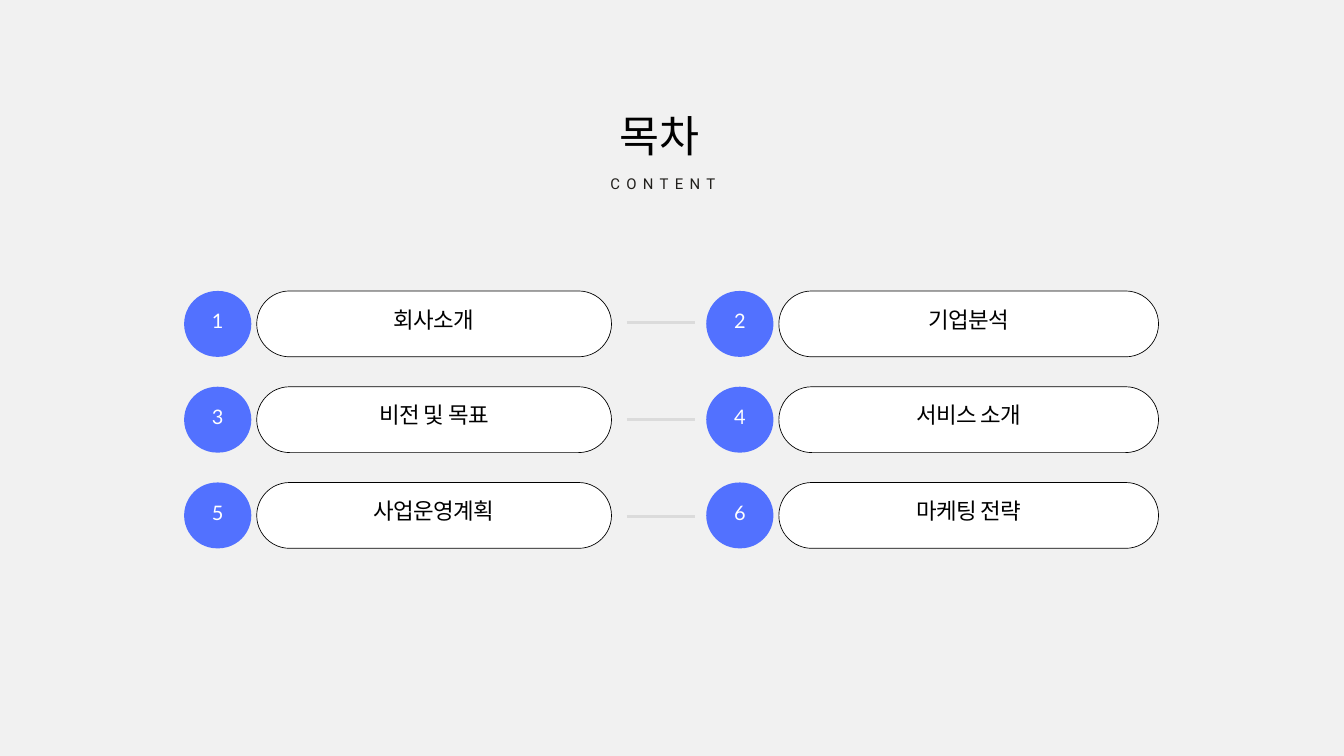
from dataclasses import dataclass

from lxml.etree import SubElement
from pptx import Presentation
from pptx.dml.color import RGBColor
from pptx.enum.shapes import MSO_CONNECTOR, MSO_SHAPE
from pptx.enum.text import MSO_ANCHOR, MSO_AUTO_SIZE, PP_ALIGN
from pptx.oxml.ns import qn
from pptx.util import Inches, Pt

TITLE = "목차"
SUBTITLE = "CONTENT"
TOPICS = ["회사소개", "기업분석", "비전 및 목표", "서비스 소개", "사업운영계획", "마케팅 전략"]


@dataclass(frozen=True)
class TextStyle:
    font: str
    size: float
    color: str
    line_height: float
    tracking: float = 0
    align: PP_ALIGN = PP_ALIGN.CENTER


class Theme:
    background = "F1F1F1"
    badge = "5271FF"
    pill = "FFFFFF"
    outline = "000000"
    link = "DBDBDB"
    title = TextStyle("Noto Sans CJK KR", 46.6, "000000", 68.5, align=PP_ALIGN.LEFT)
    subtitle = TextStyle("Roboto", 16, "211F1C", 23.5, 6.8)
    topic = TextStyle("Noto Sans CJK KR", 24, "000000", 35.3, -0.6)
    number = TextStyle("Lato", 21.4, "FFFFFF", 31.4, 3.1)


# Grid, in inches
COLUMNS = [{"left": 2.74, "pill_width": 5.28}, {"left": 10.51, "pill_width": 5.65}]
ROW_TOP, ROW_PITCH, ROW_HEIGHT = 4.33, 1.425, 0.98
BADGE_WIDTH, PILL_OFFSET = 1, 1.08
LINK_LEFT, LINK_RIGHT, LINK_TOP, LINK_PITCH = 9.33, 10.34, 4.8, 1.445
PADDING, TOPIC_LIFT, NUMBER_LIFT = 0.04, 0.23, 0.17


def rgb(color):
    return RGBColor.from_string(color)


def write(shape, text, style, anchor, padding=0, lift=0):
    """Fill a shape with one styled line; lift is extra room below the text."""
    frame = shape.text_frame
    frame.text = text
    frame.word_wrap = True
    frame.auto_size = MSO_AUTO_SIZE.NONE
    frame.vertical_anchor = anchor
    frame.margin_left = frame.margin_right = frame.margin_top = Inches(padding)
    frame.margin_bottom = Inches(padding + lift)
    paragraph = frame.paragraphs[0]
    paragraph.alignment = style.align
    paragraph.line_spacing = Pt(style.line_height)
    paragraph.space_before = Pt(0)
    run = paragraph.runs[0]
    run.font.size = Pt(style.size)
    run.font.color.rgb = rgb(style.color)
    run.font.name = style.font
    properties = run.font._element
    properties.set("spc", str(round(style.tracking * 100)))
    SubElement(properties, qn("a:ea")).set("typeface", style.font)


def place(shape, left, top, width, height):
    shape.left, shape.top = Inches(left), Inches(top)
    shape.width, shape.height = Inches(width), Inches(height)


def add_capsule(slide, left, top, width, fill, outline=None):
    shape = slide.shapes.add_shape(
        MSO_SHAPE.ROUNDED_RECTANGLE,
        Inches(left), Inches(top), Inches(width), Inches(ROW_HEIGHT),
    )
    shape.adjustments[0] = 0.5
    shape.shadow.inherit = False
    shape.fill.solid()
    shape.fill.fore_color.rgb = rgb(fill)
    if outline:
        shape.line.color.rgb = rgb(outline)
        shape.line.width = Pt(0.75)
    else:
        shape.line.fill.background()
    return shape


def add_link(slide, y):
    link = slide.shapes.add_connector(
        MSO_CONNECTOR.STRAIGHT,
        Inches(LINK_LEFT), Inches(y), Inches(LINK_RIGHT), Inches(y),
    )
    link.line.color.rgb = rgb(Theme.link)
    link.line.width = Pt(3)
    SubElement(link._element.spPr, qn("a:effectLst"))


def add_topic(slide, index, topic):
    row, column_index = divmod(index, len(COLUMNS))
    column = COLUMNS[column_index]
    top = ROW_TOP + row * ROW_PITCH
    pill = add_capsule(slide, column["left"] + PILL_OFFSET, top,
                       column["pill_width"], Theme.pill, Theme.outline)
    write(pill, topic, Theme.topic, MSO_ANCHOR.MIDDLE, PADDING, TOPIC_LIFT)
    badge = add_capsule(slide, column["left"], top, BADGE_WIDTH, Theme.badge)
    write(badge, str(index + 1), Theme.number, MSO_ANCHOR.MIDDLE, PADDING, NUMBER_LIFT)


def main():
    presentation = Presentation()
    presentation.slide_width, presentation.slide_height = Inches(20), Inches(11.25)
    slide = presentation.slides.add_slide(presentation.slide_layouts[0])
    slide.background.fill.solid()
    slide.background.fill.fore_color.rgb = rgb(Theme.background)

    title, subtitle = slide.placeholders
    place(title, 9.22, 1.44, 1.28, 0.92)
    write(title, TITLE, Theme.title, MSO_ANCHOR.TOP)
    place(subtitle, 7.67, 2.54, 4.39, 0.32)
    write(subtitle, SUBTITLE, Theme.subtitle, MSO_ANCHOR.TOP)

    for index, topic in enumerate(TOPICS):
        add_topic(slide, index, topic)
    for row in range(len(TOPICS) // len(COLUMNS)):
        add_link(slide, LINK_TOP + row * LINK_PITCH)

    presentation.save("out.pptx")


if __name__ == "__main__":
    main()
